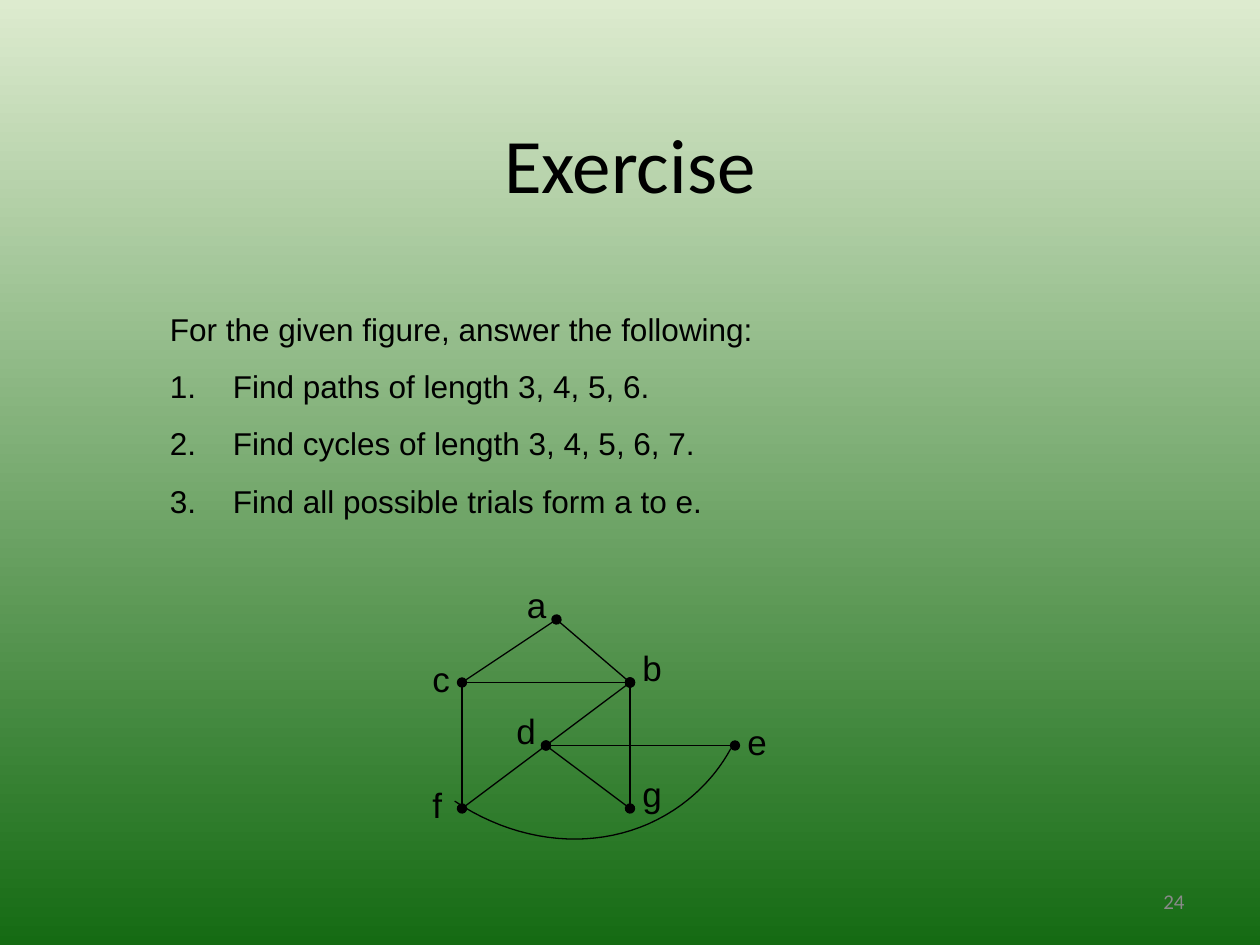
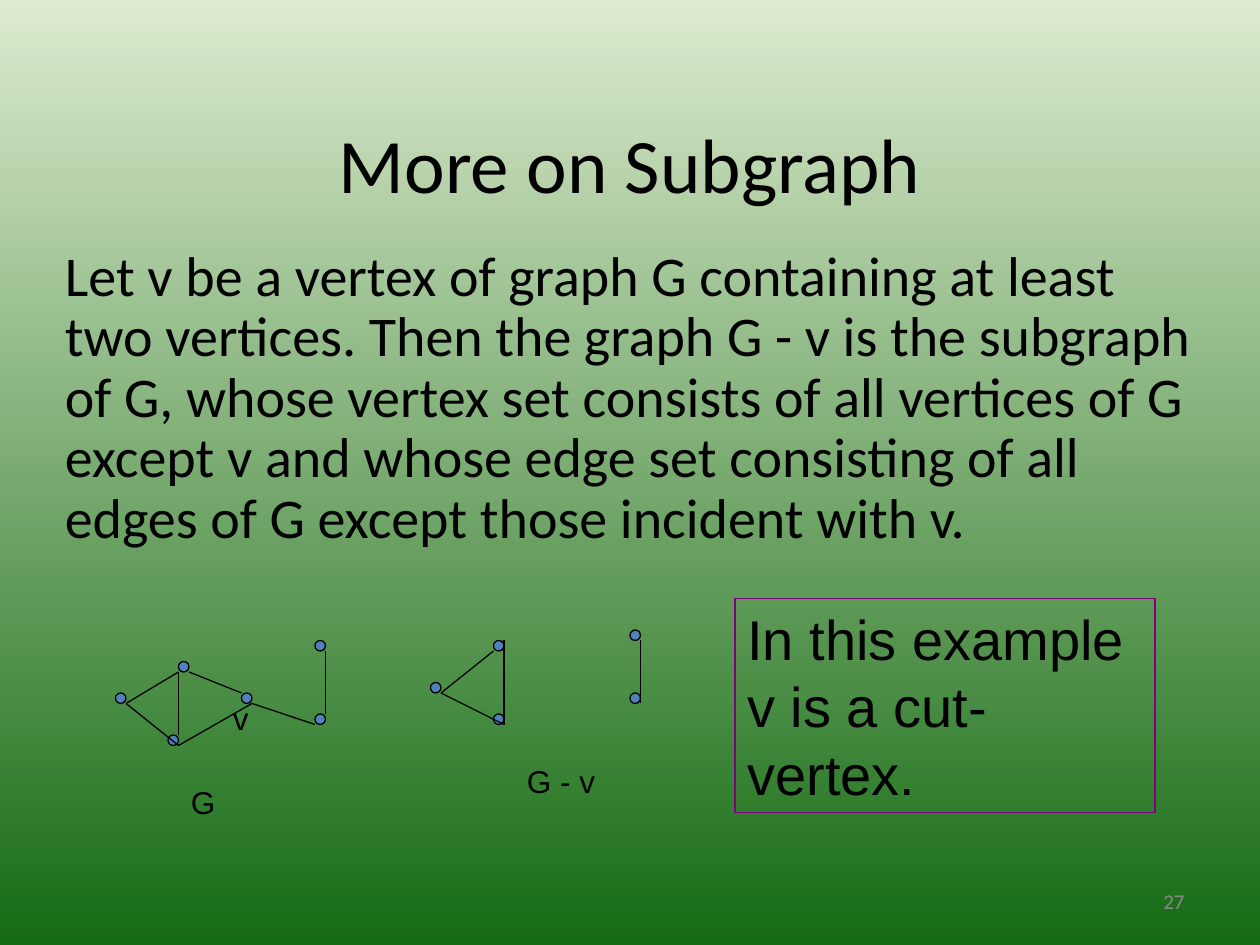
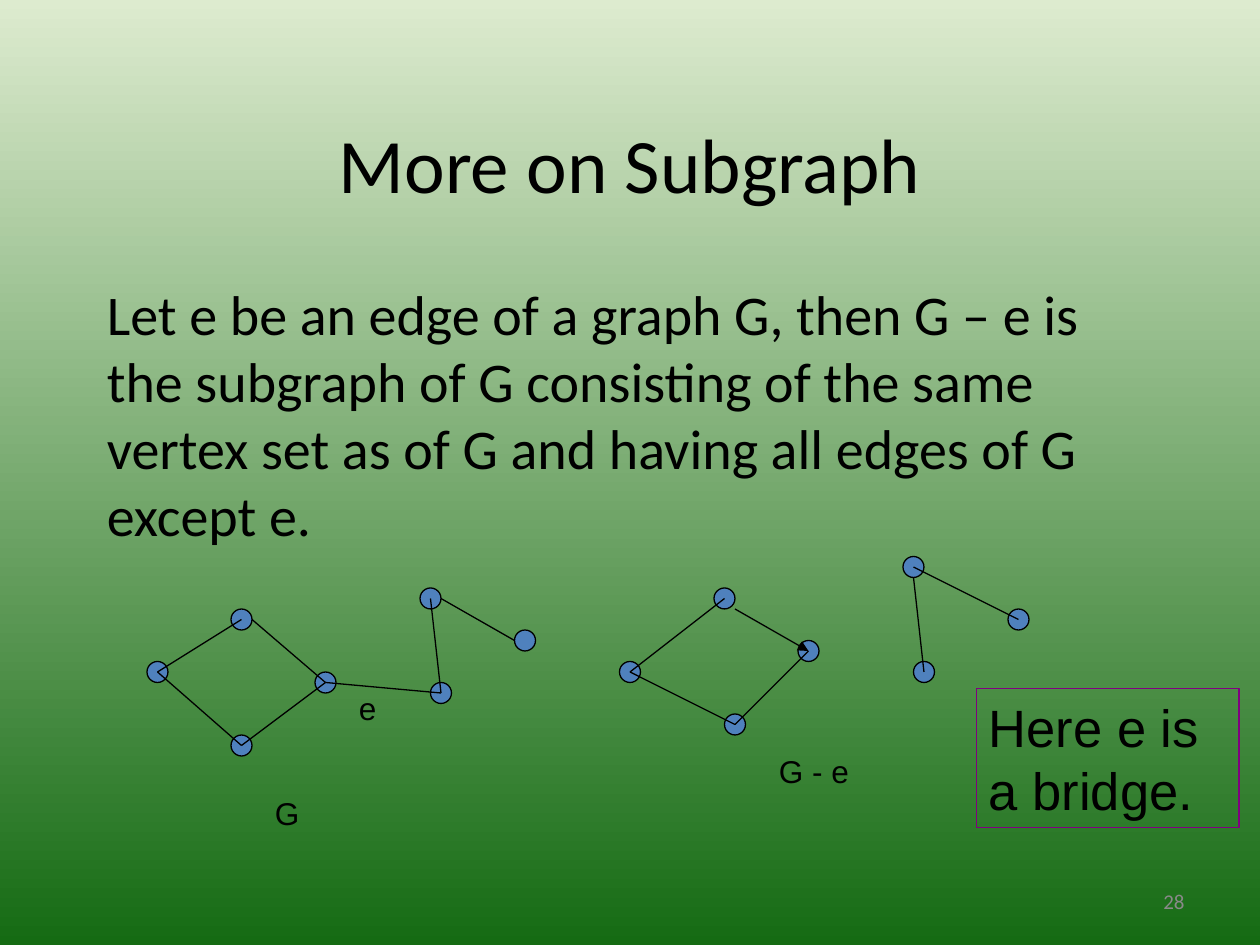
from dataclasses import dataclass

from lxml.etree import SubElement
from pptx import Presentation
from pptx.dml.color import RGBColor
from pptx.enum.shapes import MSO_CONNECTOR as Connector, MSO_SHAPE as Preset
from pptx.enum.text import MSO_ANCHOR as Anchor, PP_ALIGN as Align
from pptx.oxml.ns import qn
from pptx.util import Emu, Inches, Pt

BLACK, GREY, BLUE, PURPLE = "000000", "898989", "4F81BD", "800080"
BACKGROUND = ("DDEBCF", "156B13")
HEADING_FONT, LABEL_FONT = "Calibri", "Arial"
COLUMNS = 120
LINE_WIDTH = 0.75

Point = tuple[float, float]


@dataclass(frozen=True)
class Area:
    left: float
    top: float
    width: float
    height: float


@dataclass(frozen=True)
class Style:
    size: float
    font: str = LABEL_FONT
    color: str = BLACK
    align: Align = Align.LEFT
    anchor: Anchor = Anchor.TOP
    before: float = 0
    spacing: float = 1


@dataclass(frozen=True)
class Edge:
    start: Point
    end: Point
    head: str = ""
    tail: str = ""


@dataclass(frozen=True)
class Label:
    text: str
    area: Area


@dataclass(frozen=True)
class Lesson:
    number: int
    statement: str
    area: Area
    style: Style
    dot_size: float
    dots: list[Point]
    edges: list[Edge]
    labels: list[Label]
    remark: str
    remark_area: Area
    remark_style: Style


TITLE_AREA = Area(9, 10.5, 102, 10)
NUMBER_AREA = Area(86, 83.4, 28, 4.8)
TITLE = Style(44, HEADING_FONT, align=Align.CENTER, anchor=Anchor.MIDDLE)
NUMBER = Style(12, HEADING_FONT, GREY, Align.RIGHT, Anchor.MIDDLE)
TASK = Style(18, before=11.2)
VERTEX = Style(20, before=12.5)

TASK_AREA = Area(15, 28.9, 87, 37.7)
TASKS = [
    "For the given figure, answer the following:",
    "Find paths of length 3, 4, 5, 6.",
    "Find cycles of length 3, 4, 5, 6, 7.",
    "Find all possible trials form a to e.",
]
VERTICES: dict[str, Point] = {
    "a": (53, 59), "b": (60, 65), "c": (44, 65), "d": (52, 71),
    "e": (70, 71), "f": (44, 77), "g": (60, 77),
}
VERTEX_LABELS: dict[str, Point] = {
    "a": (49, 55), "d": (48, 67), "c": (40, 62), "b": (60, 61),
    "f": (40, 74), "g": (60, 73), "e": (70, 68),
}
DOTTED_EDGES = ["cb", "fb", "gd", "de", "ab"]
PLAIN_EDGES = ["cf", "bg", "ca"]
ARC_CURVES = [
    [(69.6, 71.3), (68.3, 73.7), (66.4, 75.7), (64.1, 77.2)],
    [(64.1, 77.2), (58.1, 81.1), (50, 80.8), (43.3, 76.3)],
]

LESSONS = [
    Lesson(
        27,
        "Let v be a vertex of graph G containing at least two vertices. Then the "
        "graph G - v is the subgraph of G, whose vertex set consists of all "
        "vertices of G except v and whose edge set consisting of all edges of G "
        "except those incident with v.",
        Area(5, 23, 111, 37),
        Style(32, HEADING_FONT, before=8, spacing=0.9),
        1,
        [(17, 63), (16, 70), (23, 66), (30, 61), (30, 68), (11, 66),
         (60, 66), (60, 60), (47, 68), (47, 61), (41, 65)],
        [
            Edge((31, 68), (31, 62)), Edge((30, 69), (24, 67)),
            Edge((24, 67), (17, 71)), Edge((23, 66), (18, 64)),
            Edge((17, 64), (17, 70)), Edge((12, 67), (17, 64)),
            Edge((12, 67), (17, 71)), Edge((48, 61), (48, 69)),
            Edge((61, 61), (61, 67)), Edge((47, 62), (42, 66)),
            Edge((42, 66), (48, 69)),
        ],
        [Label("v", Area(21, 66, 6, 4.8)), Label("G", Area(17, 74, 7, 4.8)),
         Label("G - v", Area(49, 72, 12, 4.8))],
        "In this example v is a cut-vertex.",
        Area(70, 57, 40, 20.4),
        Style(32, before=20),
    ),
    Lesson(
        28,
        "Let e be an edge of a graph G, then G – e is the subgraph of G consisting "
        "of the same vertex set as of G and having all edges of G except e.",
        Area(9, 26, 102, 28),
        Style(32, HEADING_FONT, before=8),
        2,
        [(22, 58), (14, 63), (22, 70), (40, 56), (41, 65), (30, 64), (49, 60),
         (68, 56), (59, 63), (69, 68), (76, 61), (86, 53), (87, 63), (96, 58)],
        [
            Edge((23, 59), (15, 64)), Edge((15, 64), (23, 71)),
            Edge((24, 59), (31, 65)), Edge((31, 65), (23, 71)),
            Edge((31, 65), (42, 66)), Edge((41, 57), (42, 66)),
            Edge((42, 57), (49, 61)), Edge((69, 57), (60, 64)),
            Edge((60, 64), (70, 69)), Edge((70, 58), (77, 62), tail="triangle"),
            Edge((77, 62), (70, 69)), Edge((87, 55), (88, 64)),
            Edge((87, 54), (97, 59)),
        ],
        [Label("e", Area(33, 65, 7, 4.8)), Label("G", Area(25, 75, 8, 4.8)),
         Label("G - e", Area(73, 71, 19, 4.8))],
        "Here e is a bridge.",
        Area(93, 65.6, 25, 13.2),
        Style(30, before=18.7),
    ),
]

deck = Presentation()
deck.slide_width, deck.slide_height = Inches(10), Inches(7.5)
UNIT = deck.slide_width / COLUMNS


def grid(*cells: float) -> list[Emu]:
    return [Emu(round(cell * UNIT)) for cell in cells]


def place(area: Area) -> list[Emu]:
    return grid(area.left, area.top, area.width, area.height)


def rgb(color: str) -> RGBColor:
    return RGBColor.from_string(color)


def outline(shape, color: str = BLACK) -> None:
    shape.line.color.rgb = rgb(color)
    shape.line.width = Pt(LINE_WIDTH)


def write(box, text: str, style: Style) -> None:
    frame = box.text_frame
    frame.text = text
    frame.word_wrap = True
    frame.vertical_anchor = style.anchor
    for para in frame.paragraphs:
        para.alignment = style.align
        para.space_before = Pt(style.before)
        para.line_spacing = style.spacing
        for span in para.runs:
            span.font.size = Pt(style.size)
            span.font.name = style.font
            span.font.color.rgb = rgb(style.color)


def add_text(page, area: Area, text: str, style: Style):
    box = page.shapes.add_textbox(*place(area))
    write(box, text, style)
    return box


def add_dot(page, corner: Point, size: float) -> None:
    dot = page.shapes.add_shape(Preset.OVAL, *grid(*corner, size, size))
    dot.shadow.inherit = False
    dot.fill.solid()
    dot.fill.fore_color.rgb = rgb(BLUE)
    outline(dot)


def add_edge(page, edge: Edge) -> None:
    line = page.shapes.add_connector(Connector.STRAIGHT, *grid(*edge.start, *edge.end))
    outline(line)
    for tag, kind in (("a:headEnd", edge.head), ("a:tailEnd", edge.tail)):
        if kind:
            SubElement(line.line._get_or_add_ln(), qn(tag), type=kind)
    SubElement(line._element.spPr, qn("a:effectLst"))


def add_remark(page, area: Area, text: str, style: Style) -> None:
    remark = page.shapes.add_shape(Preset.RECTANGLE, *place(area))
    remark.shadow.inherit = False
    remark.fill.background()
    outline(remark, PURPLE)
    write(remark, text, style)


def bezier(curve: list[Point], share: float) -> Point:
    weights = [(1 - share) ** 3, 3 * share * (1 - share) ** 2,
               3 * share ** 2 * (1 - share), share ** 3]
    x, y = (sum(w * value for w, value in zip(weights, axis)) for axis in zip(*curve))
    return x, y


def add_arc(page, curves: list[list[Point]], steps: int = 24) -> None:
    points = [grid(*bezier(curve, step / steps))
              for curve in curves for step in range(1, steps + 1)]
    builder = page.shapes.build_freeform(*grid(*curves[0][0]))
    builder.add_line_segments(points, close=False)
    arc = builder.convert_to_shape()
    arc.shadow.inherit = False
    arc.fill.background()
    outline(arc)


def number_tasks(box) -> None:
    for index, para in enumerate(box.text_frame.paragraphs):
        properties = para._p.get_or_add_pPr()
        properties.set("marL", str(Inches(0.5)))
        properties.set("indent", str(-Inches(0.5)))
        if index:
            SubElement(properties, qn("a:buFont"), typeface=LABEL_FONT)
            SubElement(properties, qn("a:buAutoNum"), type="arabicPeriod")


def paint_background() -> None:
    fill = deck.slide_master.background.fill
    fill.gradient()
    fill.gradient_angle = 270
    for stop, color in zip(fill.gradient_stops, BACKGROUND):
        stop.color.rgb = rgb(color)


def add_page(title: str, number: int):
    page = deck.slides.add_slide(deck.slide_layouts[6])
    add_text(page, TITLE_AREA, title, TITLE)
    add_text(page, NUMBER_AREA, str(number), NUMBER)
    return page


def add_exercise() -> None:
    page = add_page("Exercise", 24)
    number_tasks(add_text(page, TASK_AREA, "\n".join(TASKS), TASK))
    for names, end in ((DOTTED_EDGES, "oval"), (PLAIN_EDGES, "")):
        for start, finish in names:
            add_edge(page, Edge(VERTICES[start], VERTICES[finish], end, end))
    add_arc(page, ARC_CURVES)
    for name, corner in VERTEX_LABELS.items():
        add_text(page, Area(*corner, 4, 5.3), name, VERTEX)


def add_lesson(lesson: Lesson) -> None:
    page = add_page("More on Subgraph", lesson.number)
    add_text(page, lesson.area, lesson.statement, lesson.style)
    for corner in lesson.dots:
        add_dot(page, corner, lesson.dot_size)
    for edge in lesson.edges:
        add_edge(page, edge)
    for label in lesson.labels:
        add_text(page, label.area, label.text, TASK)
    add_remark(page, lesson.remark_area, lesson.remark, lesson.remark_style)


def main() -> None:
    paint_background()
    add_exercise()
    for lesson in LESSONS:
        add_lesson(lesson)
    deck.save("out.pptx")


if __name__ == "__main__":
    main()
